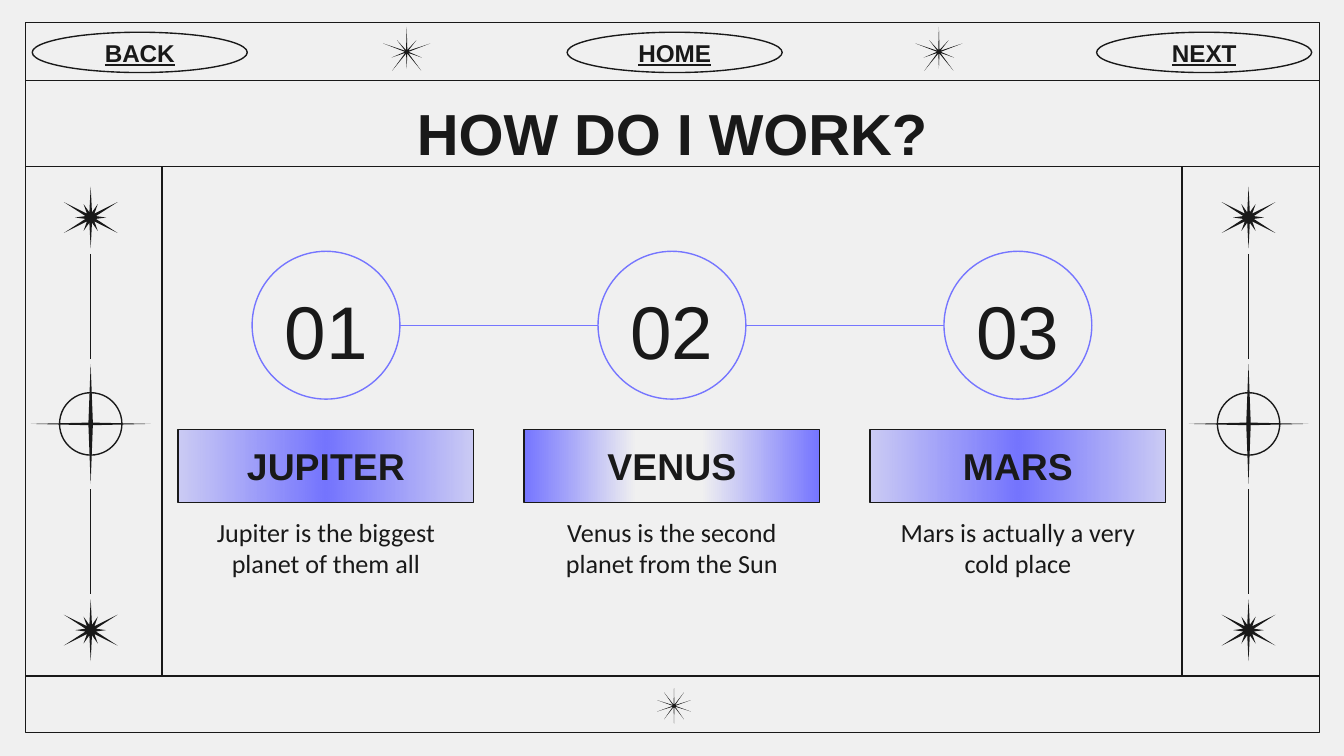
from math import atan2, cos, sin

from lxml.etree import SubElement
from pptx import Presentation
from pptx.dml.color import RGBColor
from pptx.enum.shapes import MSO_CONNECTOR, MSO_SHAPE
from pptx.enum.text import MSO_ANCHOR, MSO_AUTO_SIZE, PP_ALIGN
from pptx.oxml.ns import qn
from pptx.util import Inches, Pt

INK = RGBColor(0x19, 0x19, 0x19)
PAPER = RGBColor(0xF0, 0xF0, 0xF0)
VIOLET = RGBColor(0x75, 0x75, 0xFF)

# Square grid cells: 100 columns across a 16:9 slide
COLUMNS, ROWS = 100, 56.25
TITLE_ONLY = 5

# Gradient stops: position %, colour, opacity %
GLOW = [(0, VIOLET, 29), (50, VIOLET, 100), (100, VIOLET, 29)]
EDGES = [(0, VIOLET, 100), (40, PAPER, 100), (62, PAPER, 100), (100, VIOLET, 100)]


def mirrored(right_half):
    """Close a figure whose right half runs from top to bottom."""
    return right_half + [(-x, y) for x, y in right_half[-2:0:-1]]


def star(right_tips, core):
    """Outline of a star: a valley at radius core halfway between two tips."""
    outline = right_tips[:1]
    for before, tip in zip(right_tips, right_tips[1:]):
        angle = (atan2(before[0], -before[1]) + atan2(tip[0], -tip[1])) / 2
        outline += [(core * sin(angle), -core * cos(angle)), tip]
    return mirrored(outline)


NAV_STAR = star([(0, -1.86), (0.72, -0.86), (1.75, -0.62), (1.13, 0.43),
                 (1.08, 1.4), (0, 1.25)], 0.14)
FOOTER_STAR = star([(0, -1.32), (0.74, -1), (1.25, -0.42), (1.25, 0.42),
                    (0.74, 1), (0, 1.32)], 0.1)
SIDE_STAR = star([(0, -2.3), (0.53, -1), (2, -1.15), (1.15, 0),
                  (2, 1.15), (0.53, 1), (0, 2.3)], 0.4)
TALL_NEEDLE = mirrored([(0, -4.45), (0.17, 0), (0, 4.45)])
WIDE_NEEDLE = mirrored([(0, -0.1), (4.45, 0), (0, 0.1)])


class Page:
    def __init__(self, deck):
        self.cell_width = deck.slide_width / COLUMNS
        self.cell_height = deck.slide_height / ROWS
        self.slide = deck.slides.add_slide(deck.slide_layouts[TITLE_ONLY])
        self.slide.background.fill.solid()
        self.slide.background.fill.fore_color.rgb = PAPER

    def x(self, columns):
        return round(columns * self.cell_width)

    def y(self, rows):
        return round(rows * self.cell_height)

    def area(self, left, top, width, height):
        return self.x(left), self.y(top), self.x(width), self.y(height)

    def set_text(self, box, text, size, font="Arial", bold=False, underline=False,
                 anchor=MSO_ANCHOR.MIDDLE, drop=0):
        frame = box.text_frame
        frame.text = text
        frame.word_wrap = True
        frame.auto_size = MSO_AUTO_SIZE.NONE
        frame.vertical_anchor = anchor
        frame.margin_left = frame.margin_right = self.x(1)
        frame.margin_top, frame.margin_bottom = self.y(1 + drop), self.y(1 - drop)
        paragraph = frame.paragraphs[0]
        paragraph.alignment = PP_ALIGN.CENTER
        style = paragraph.runs[0].font
        style.name, style.size = font, Pt(size)
        style.bold, style.underline = bold, underline
        style.color.rgb = INK

    def title(self, text, area, size, drop):
        heading = self.slide.shapes.title
        heading.left, heading.top, heading.width, heading.height = self.area(*area)
        self.set_text(heading, text, size, bold=True, drop=drop)

    def label(self, text, area, size, **style):
        self.set_text(self.slide.shapes.add_textbox(*self.area(*area)), text, size, **style)

    def outline(self, preset, area, color=INK):
        shape = self.slide.shapes.add_shape(preset, *self.area(*area))
        shape.shadow.inherit = False
        shape.fill.background()
        shape.line.color.rgb = color
        shape.line.width = Pt(0.75)
        return shape

    def gradient(self, shape, stops):
        shape.fill.gradient()
        shape.fill.gradient_angle = 180
        stop_list = shape._element.spPr.find(qn("a:gradFill")).find(qn("a:gsLst"))
        for old_stop in list(stop_list):
            stop_list.remove(old_stop)
        for position, color, opacity in stops:
            stop = SubElement(stop_list, qn("a:gs"), pos=str(position * 1000))
            shade = SubElement(stop, qn("a:srgbClr"), val=str(color))
            if opacity < 100:
                SubElement(shade, qn("a:alpha"), val=str(opacity * 1000))

    def line(self, x1, y1, x2, y2, color=INK):
        rule = self.slide.shapes.add_connector(
            MSO_CONNECTOR.STRAIGHT, self.x(x1), self.y(y1), self.x(x2), self.y(y2))
        rule.line.color.rgb = color
        rule.line.width = Pt(0.75)
        SubElement(rule._element.spPr, qn("a:effectLst"))

    def figure(self, points, column, row):
        corners = [(self.x(column + dx), self.y(row + dy)) for dx, dy in points]
        builder = self.slide.shapes.build_freeform(*corners[0])
        builder.add_line_segments(corners[1:], close=True)
        shape = builder.convert_to_shape()
        shape.shadow.inherit = False
        shape.fill.solid()
        shape.fill.fore_color.rgb = INK
        shape.line.fill.background()

    def side_ornament(self, column, middle=31.54):
        for direction in (-1, 1):
            self.figure(SIDE_STAR, column, middle + direction * 15.35)
            self.line(column, middle + direction * 12.65,
                      column, middle + direction * 4.85)
        self.outline(MSO_SHAPE.OVAL, (column - 2.32, middle - 2.32, 4.64, 4.64))
        self.figure(TALL_NEEDLE, column, middle)
        self.figure(WIDE_NEEDLE, column, middle)

    def button(self, text, left):
        oval = self.outline(MSO_SHAPE.OVAL, (left, 2.4, 16, 3))
        self.set_text(oval, text, 13, bold=True, underline=True)

    def step(self, number, planet, fact, stops, center):
        self.outline(MSO_SHAPE.OVAL, (center - 5.5, 18.7, 11, 11), VIOLET)
        self.label(number, (center - 5.5, 19.8, 11, 8.9), 40, drop=0.25)
        left = center - 11
        card = self.outline(MSO_SHAPE.RECTANGLE, (left, 31.95, 22, 5.45))
        self.gradient(card, stops)
        self.set_text(card, planet, 20, bold=True)
        self.label(fact, (left, 37.4, 22, 6.6), 14, font="Calibri",
                   anchor=MSO_ANCHOR.TOP)


def main():
    deck = Presentation()
    deck.slide_width = Inches(10)
    deck.slide_height = round(deck.slide_width * 9 / 16)
    page = Page(deck)

    # Frame and dividers
    page.outline(MSO_SHAPE.RECTANGLE, (1.9, 1.68, 96.3, 52.85))
    for row in (6, 12.4, 50.3):
        page.line(1.9, row, 98.2, row)
    for column in (12.05, 87.95):
        page.line(column, 12.4, column, 50.3)

    # Ornaments
    for column in (6.75, 92.9):
        page.side_ornament(column)
    for column in (30.26, 69.86):
        page.figure(NAV_STAR, column, 3.86)
    page.figure(FOOTER_STAR, 50.15, 52.52)

    # Navigation and title
    for text, left in (("BACK", 2.4), ("HOME", 42.2), ("NEXT", 81.6)):
        page.button(text, left)
    page.title("HOW DO I WORK?", (7.85, 5.9, 84.3, 6.9), 31, drop=0.46)

    # Steps and the lines between them
    steps = [
        ("01", "JUPITER", "Jupiter is the biggest planet of them all", GLOW),
        ("02", "VENUS", "Venus is the second planet from the Sun", EDGES),
        ("03", "MARS", "Mars is actually a very cold place", GLOW),
    ]
    first, pitch = 24.26, 25.74
    for index, content in enumerate(steps):
        center = first + index * pitch
        page.step(*content, center)
        if index:
            page.line(center - pitch + 5.5, 24.2, center - 5.5, 24.2, VIOLET)

    deck.save("out.pptx")


if __name__ == "__main__":
    main()
